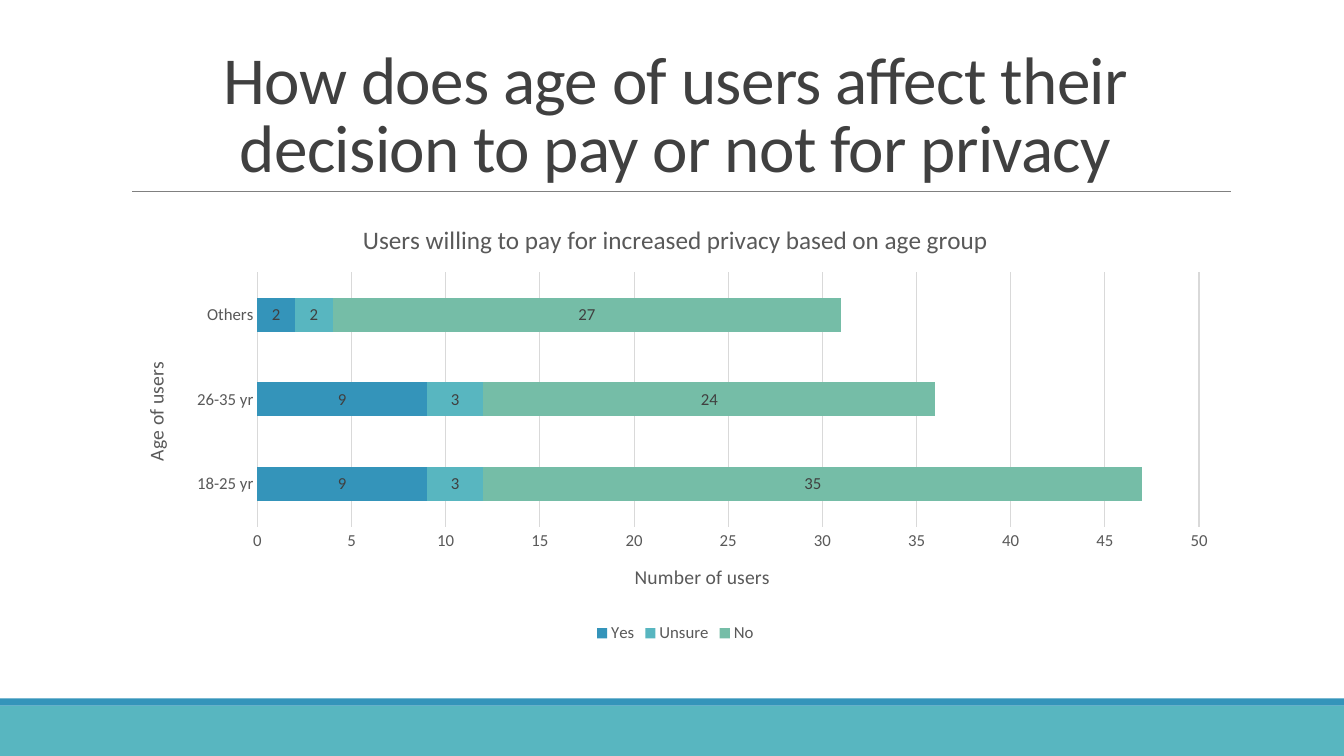
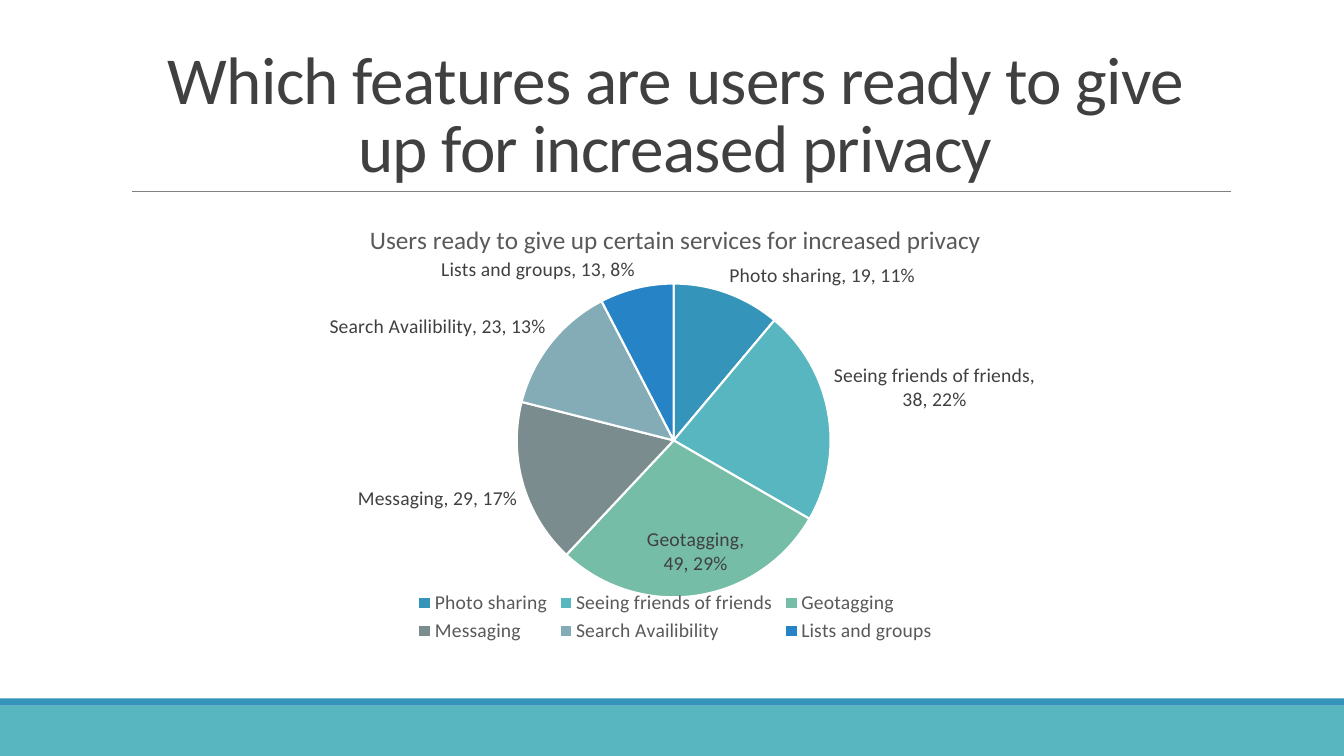
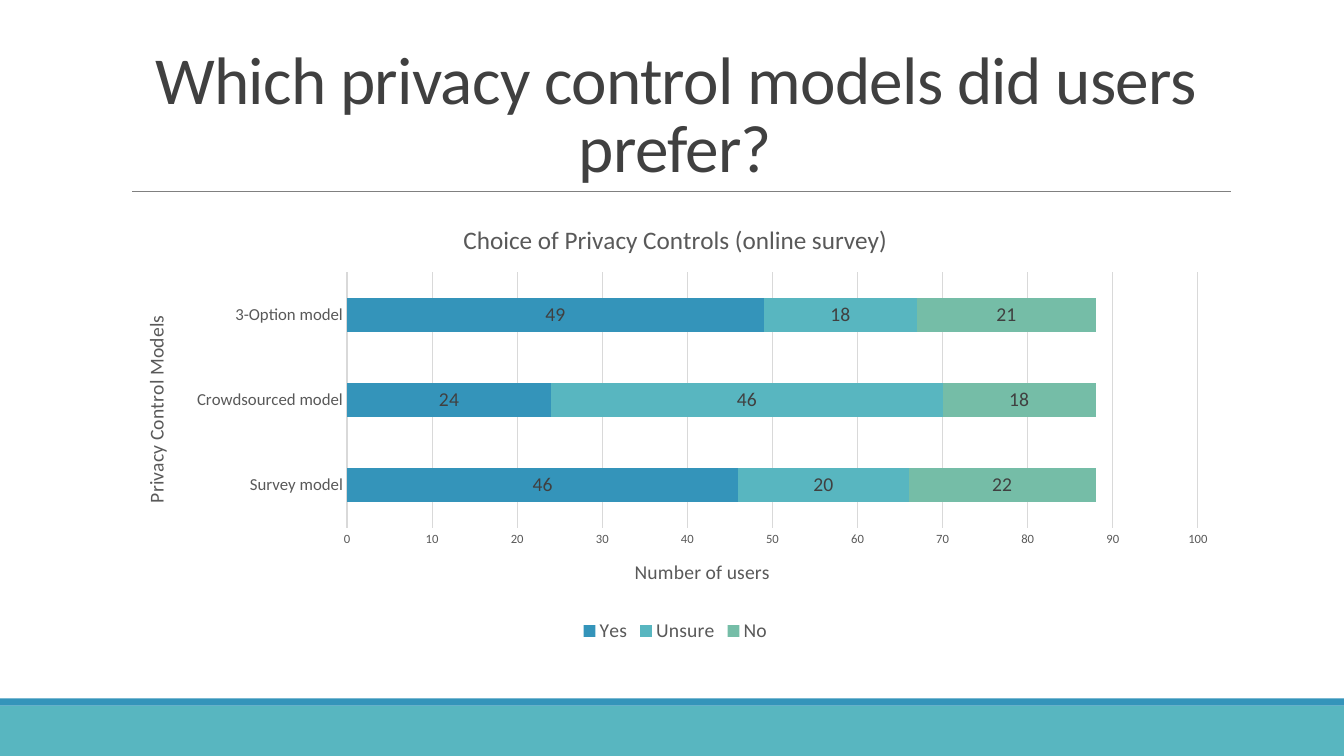
import lxml.etree
import pptx
import pptx.chart.data
import pptx.dml.color
import pptx.enum.chart
import pptx.enum.shapes
import pptx.enum.text
import pptx.oxml
import pptx.oxml.ns
import pptx.util

Cm, Pt = pptx.util.Cm, pptx.util.Pt
RGBColor = pptx.dml.color.RGBColor
qn = pptx.oxml.ns.qn

BLUE = RGBColor(0x34, 0x94, 0xBA)
TEAL = RGBColor(0x58, 0xB6, 0xC0)
GREEN = RGBColor(0x75, 0xBD, 0xA7)
SLATE = RGBColor(0x7A, 0x8C, 0x8E)
MIST = RGBColor(0x84, 0xAC, 0xB6)
ROYAL = RGBColor(0x26, 0x83, 0xC6)
DARK = RGBColor(0x40, 0x40, 0x40)
TEXT = RGBColor(0x59, 0x59, 0x59)
RULE = RGBColor(0x80, 0x80, 0x80)
GRID = RGBColor(0xD9, 0xD9, 0xD9)
WHITE = RGBColor(0xFF, 0xFF, 0xFF)
PALETTE = [BLUE, TEAL, GREEN, SLATE, MIST, ROYAL]
FONT = "Calibri"

SLIDE_W, SLIDE_H = Cm(33.87), Cm(19.05)
TITLE_BOX = (Cm(3.05), Cm(0.79), Cm(27.94), Cm(4.04))
CHART_BOX = (Cm(3.05), Cm(5.13), Cm(27.94), Cm(11.18))
FOOTER_BOX = (0, Cm(17.6), SLIDE_W, SLIDE_H - Cm(17.6))


def style_font(font, size, color=TEXT):
    font.name, font.size, font.bold = FONT, Pt(size), False
    font.color.rgb = color


# Shared slide parts
def add_footer(slide, box):
    left, top, width, height = box
    stripe = Cm(0.18)
    for y, h, color in ((top + stripe, height - stripe, TEAL), (top, stripe, BLUE)):
        sp = slide.shapes.add_shape(pptx.enum.shapes.MSO_SHAPE.RECTANGLE, left, y, width, h)
        sp.shadow.inherit = False
        sp.fill.solid()
        sp.fill.fore_color.rgb = color
        sp.line.fill.background()


def add_title(slide, box, text):
    left, top, width, height = box
    sp = slide.shapes.title
    sp.left, sp.top, sp.width, sp.height = box
    tf = sp.text_frame
    tf.text = text
    tf.word_wrap = True
    tf.auto_size = pptx.enum.text.MSO_AUTO_SIZE.NONE
    tf.vertical_anchor = pptx.enum.text.MSO_ANCHOR.BOTTOM
    p = tf.paragraphs[0]
    p.alignment = pptx.enum.text.PP_ALIGN.CENTER
    p.line_spacing = 0.85
    r = p.runs[0]
    style_font(r.font, 48, DARK)
    r.font._element.set("spc", "-50")

    # Rule under the title
    y = top + height
    line = slide.shapes.add_connector(pptx.enum.shapes.MSO_CONNECTOR.STRAIGHT,
                                      left + Cm(0.28), y, left + width + Cm(0.02), y)
    line.line.color.rgb = RULE
    line.line.width = Pt(0.5)
    lxml.etree.SubElement(line._element.spPr, qn("a:effectLst"))


def new_slide(prs, title):
    slide = prs.slides.add_slide(prs.slide_layouts[5])
    add_footer(slide, FOOTER_BOX)
    add_title(slide, TITLE_BOX, title)
    return slide


# Charts
def set_title(owner, text, size):
    tf = owner.text_frame
    tf.text = text
    style_font(tf.paragraphs[0].runs[0].font, size)


def add_chart(slide, box, kind, title, cats, series, legend_size):
    data = pptx.chart.data.CategoryChartData()
    data.categories = cats
    for name, values in series.items():
        data.add_series(name, values)
    chart = slide.shapes.add_chart(kind, *box, data).chart
    style_font(chart.font, 12)
    chart.has_title = True
    set_title(chart.chart_title, title, 18)
    chart.has_legend = True
    chart.legend.position = pptx.enum.chart.XL_LEGEND_POSITION.BOTTOM
    chart.legend.include_in_layout = False
    style_font(chart.legend.font, legend_size)
    chart.plots[0].vary_by_categories = False
    return chart


def style_axis(axis, title, size):
    axis.has_title = True
    set_title(axis.axis_title, title, 14)
    axis.major_tick_mark = axis.minor_tick_mark = pptx.enum.chart.XL_TICK_MARK.NONE
    style_font(axis.tick_labels.font, size)


def add_bar_chart(slide, box, title, cats, series, cat_title, step, value_size, label_size):
    chart = add_chart(slide, box, pptx.enum.chart.XL_CHART_TYPE.BAR_STACKED,
                      title, cats, series, label_size)
    plot = chart.plots[0]
    plot.gap_width, plot.overlap = 150, 100
    for ser, color in zip(plot.series, PALETTE):
        ser.format.fill.solid()
        ser.format.fill.fore_color.rgb = color
        ser.data_labels.show_value = True
        style_font(ser.data_labels.font, label_size, DARK)

    cat_axis, val_axis = chart.category_axis, chart.value_axis
    style_axis(cat_axis, cat_title, 12)
    style_axis(val_axis, "Number of users", value_size)
    val_axis.minimum_scale, val_axis.maximum_scale = 0, 10 * step
    val_axis.major_unit = step
    val_axis.format.line.fill.background()
    for line in (cat_axis.format.line, val_axis.major_gridlines.format.line):
        line.color.rgb = GRID
        line.width = Pt(0.75)


def set_plot_area(chart, x, y, w, h):
    area = chart._chartSpace.chart.plotArea
    for old in area.findall(qn("c:layout")):
        area.remove(old)
    layout = lxml.etree.Element(qn("c:layout"))
    manual = lxml.etree.SubElement(layout, qn("c:manualLayout"))
    for tag, value in (("layoutTarget", "inner"), ("xMode", "edge"), ("yMode", "edge"),
                       ("x", x), ("y", y), ("w", w), ("h", h)):
        lxml.etree.SubElement(manual, qn("c:" + tag)).set("val", str(value))
    area.insert(0, layout)


def add_pie_chart(slide, box, title, shares):
    chart = add_chart(slide, box, pptx.enum.chart.XL_CHART_TYPE.PIE, title,
                      list(shares), {"Series 1": list(shares.values())}, 14)
    set_plot_area(chart, 0.357, 0.18, 0.283, 0.708)
    plot = chart.plots[0]
    plot.vary_by_categories = True
    ser = plot.series[0]
    for i, color in enumerate(PALETTE):
        fmt = ser.points[i].format
        fmt.fill.solid()
        fmt.fill.fore_color.rgb = color
        fmt.line.color.rgb = WHITE
        fmt.line.width = Pt(1.5)

    # Slice labels
    labels = ser.data_labels
    labels.show_category_name = labels.show_value = labels.show_percentage = True
    labels.position = pptx.enum.chart.XL_LABEL_POSITION.BEST_FIT
    style_font(labels.font, 14, DARK)
    separator = lxml.etree.Element(qn("c:separator"))
    separator.text = ", "
    labels._element.find(qn("c:showBubbleSize")).addnext(separator)


prs = pptx.Presentation()
prs.slide_width, prs.slide_height = SLIDE_W, SLIDE_H

# Age and willingness to pay
slide = new_slide(prs, "How does age of users affect their decision to pay or not for privacy")
add_bar_chart(slide, CHART_BOX, "Users willing to pay for increased privacy based on age group",
              ["18-25 yr", "26-35 yr", "Others"],
              {"Yes": (9, 9, 2), "Unsure": (3, 3, 2), "No": (35, 24, 27)},
              "Age of users", step=5, value_size=12, label_size=12)

# Features given up
slide = new_slide(prs, "Which features are users ready to give up for increased privacy")
add_pie_chart(slide, CHART_BOX, "Users ready to give up certain services for increased privacy",
              {"Photo sharing": 19, "Seeing friends of friends": 38, "Geotagging": 49,
               "Messaging": 29, "Search Availibility": 23, "Lists and groups": 13})

# Preferred control models
slide = new_slide(prs, "Which privacy control models did users prefer?")
add_bar_chart(slide, CHART_BOX, "Choice of Privacy Controls (online survey)",
              ["Survey model", "Crowdsourced model", "3-Option model"],
              {"Yes": (46, 24, 49), "Unsure": (20, 46, 18), "No": (22, 18, 21)},
              "Privacy Control Models", step=10, value_size=9, label_size=14)

prs.save("out.pptx")
